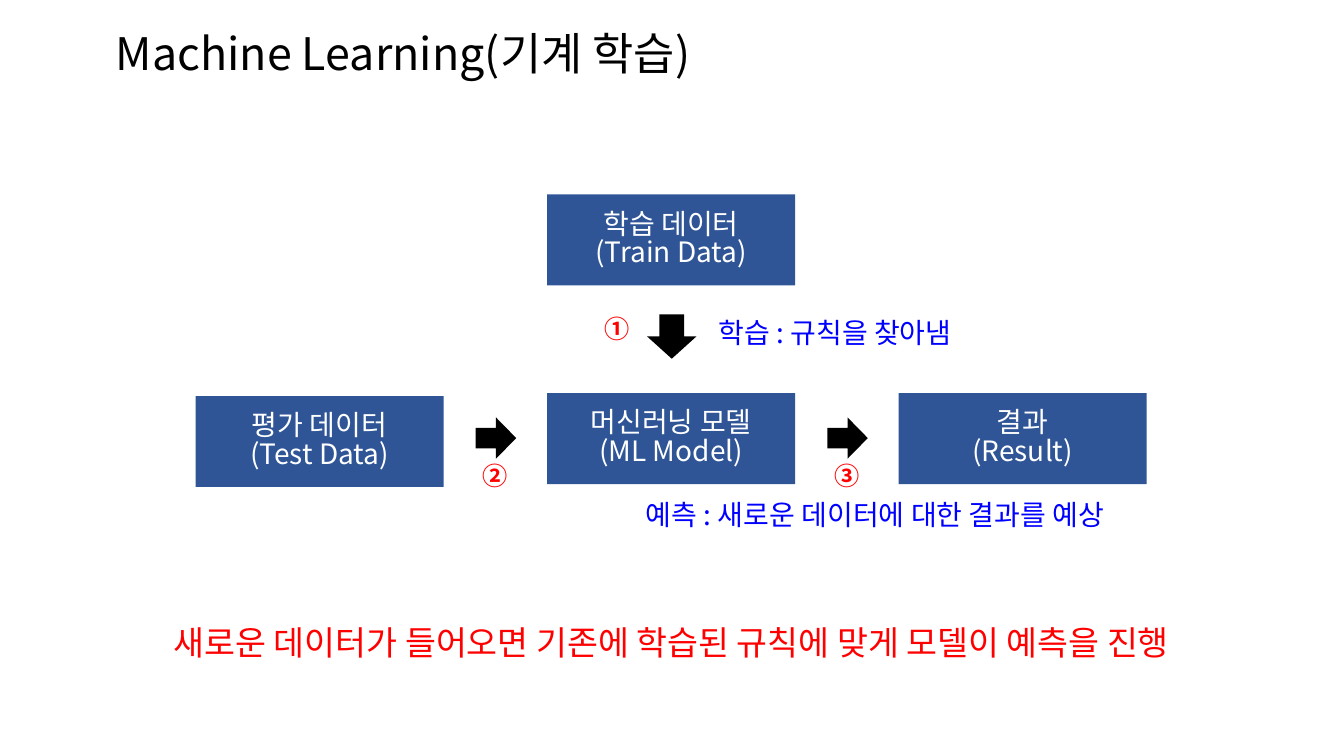
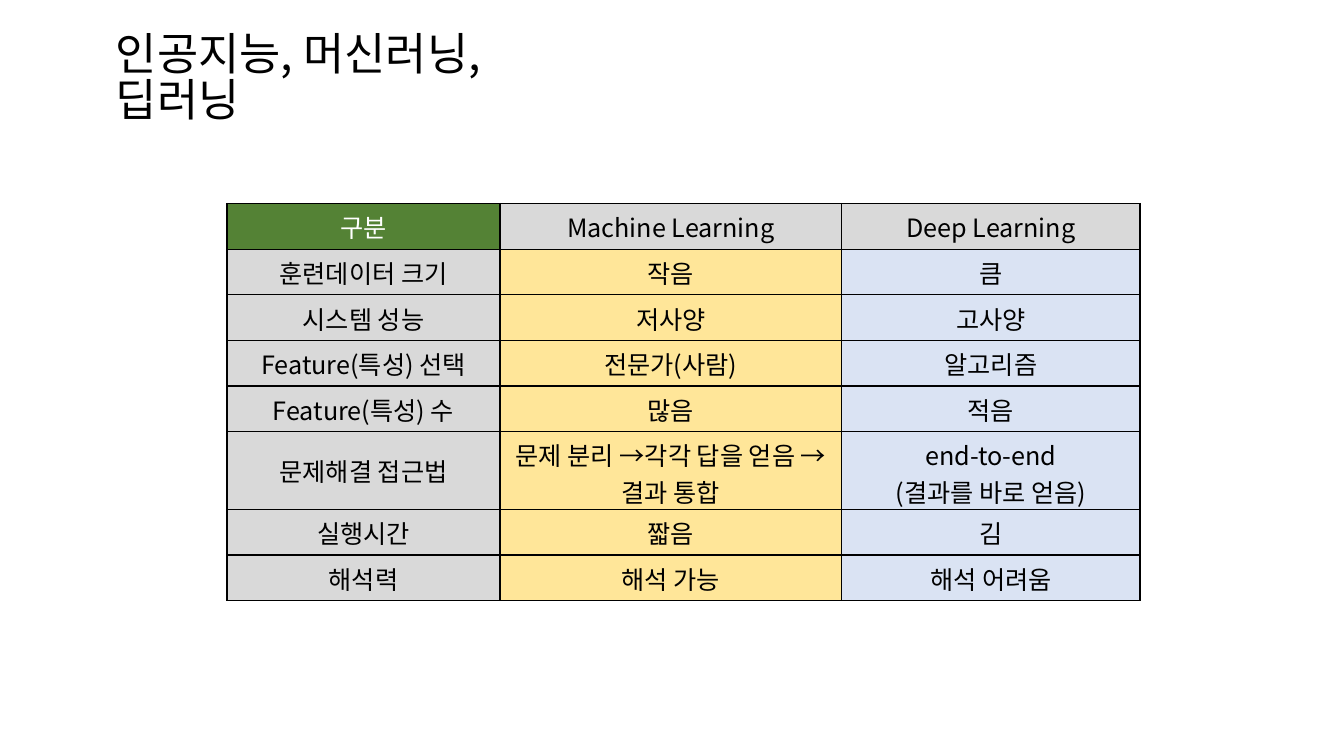
from lxml.etree import SubElement
from pptx import Presentation
from pptx.dml.color import RGBColor
from pptx.enum.shapes import MSO_SHAPE as Shape
from pptx.enum.text import MSO_ANCHOR as Anchor, PP_ALIGN as Align
from pptx.oxml.ns import qn
from pptx.util import Cm, Pt

FONT = "Noto Sans CJK KR"
BLACK = RGBColor(0x00, 0x00, 0x00)
WHITE = RGBColor(0xFF, 0xFF, 0xFF)
RED = RGBColor(0xFF, 0x00, 0x00)
BLUE = RGBColor(0x00, 0x00, 0xFF)
NAVY = RGBColor(0x2F, 0x55, 0x97)
GREEN = RGBColor(0x54, 0x82, 0x35)
GRAY = RGBColor(0xD9, 0xD9, 0xD9)
YELLOW = RGBColor(0xFF, 0xE6, 0x99)
PALE_BLUE = RGBColor(0xDA, 0xE3, 0xF3)

TITLE = {"size": Pt(32), "color": BLACK}
BOX = {"size": Pt(20), "color": WHITE}
NOTE = {"size": Pt(20), "color": BLUE}
STEP = {"size": Pt(18), "color": RED, "bold": True}
SUMMARY = {"size": Pt(24), "color": RED}
CELL = {"size": Pt(18), "color": BLACK}
HEAD = {"size": Pt(18), "color": WHITE}
TIGHT = 0.85

COLUMN_LEFT, COLUMN_STEP = 4.93, 8.86
BOX_WIDTH, BOX_HEIGHT = 6.25, 2.29
BOXES = [
    (1, 4.9, "학습 데이터\n(Train Data)"),
    (0, 9.98, "평가 데이터\n(Test Data)"),
    (1, 9.91, "머신러닝 모델\n(ML Model)"),
    (2, 9.91, "결과\n(Result)"),
]
ARROWS = [
    (Shape.DOWN_ARROW, (16.31, 7.92, 1.24, 1.12)),
    (Shape.RIGHT_ARROW, (11.99, 10.52, 1.02, 1.04)),
    (Shape.RIGHT_ARROW, (11.99 + COLUMN_STEP, 10.52, 1.02, 1.04)),
]
LABELS = [
    ("학습 : 규칙을 찾아냄", (17.86, 7.95, 7.75, 1.11), NOTE, Align.LEFT),
    ("예측 : 새로운 데이터에 대한 결과를 예상", (16.03, 12.55, 14.17, 1.11), NOTE, Align.LEFT),
    ("①", (14.94, 7.9, 1.24, 1.03), STEP, Align.CENTER),
    ("②", (11.87, 11.58, 1.24, 1.03), STEP, Align.CENTER),
    ("③", (11.87 + COLUMN_STEP, 11.58, 1.24, 1.03), STEP, Align.CENTER),
    ("새로운 데이터가 들어오면 기존에 학습된 규칙에 맞게 모델이 예측을 진행",
     (2.46, 15.7, 28.91, 1.28), SUMMARY, Align.CENTER),
]

COMPARISON = [
    ("구분", "Machine Learning", "Deep Learning"),
    ("훈련데이터 크기", "작음", "큼"),
    ("시스템 성능", "저사양", "고사양"),
    ("Feature(특성) 선택", "전문가(사람)", "알고리즘"),
    ("Feature(특성) 수", "많음", "적음"),
    ("문제해결 접근법", "문제 분리 →각각 답을 얻음 → 결과 통합", "end-to-end\n(결과를 바로 얻음)"),
    ("실행시간", "짧음", "김"),
    ("해석력", "해석 가능", "해석 어려움"),
]
COLUMN_WIDTHS = (6.88, 8.61, 7.52)
ROW_HEIGHT, TALL_ROW, TALL_HEIGHT = 1.15, 5, 1.96
HEAD_FILLS = (GREEN, GRAY, GRAY)
BODY_FILLS = (GRAY, YELLOW, PALE_BLUE)


def lengths(place):
    return [Cm(round(value, 2)) for value in place]


def write(frame, text, style, align, spacing=None):
    for index, line in enumerate(text.split("\n")):
        paragraph = frame.paragraphs[0] if index == 0 else frame.add_paragraph()
        paragraph.alignment = align
        paragraph.line_spacing = spacing
        run = paragraph.add_run()
        run.text = line
        for name, value in {"name": FONT, **style}.items():
            if name == "color":
                run.font.color.rgb = value
            else:
                setattr(run.font, name, value)
        SubElement(run._r.get_or_add_rPr(), qn("a:ea"), typeface=FONT)


def add_text(slide, text, place, style, align=Align.LEFT):
    frame = slide.shapes.add_textbox(*lengths(place)).text_frame
    frame.word_wrap = True
    write(frame, text, style, align, TIGHT)


def add_solid(slide, kind, place, color):
    shape = slide.shapes.add_shape(kind, *lengths(place))
    shape.shadow.inherit = False
    shape.fill.solid()
    shape.fill.fore_color.rgb = color
    shape.line.fill.background()
    return shape


def add_borders(cell):
    properties = cell._tc.get_or_add_tcPr()
    for index, side in enumerate(("lnL", "lnR", "lnT", "lnB")):
        line = properties.makeelement(qn(f"a:{side}"), {"w": str(Pt(1))})
        fill = SubElement(line, qn("a:solidFill"))
        SubElement(fill, qn("a:srgbClr"), val=str(BLACK))
        properties.insert(index, line)


def add_title_slide(presentation, title, width):
    slide = presentation.slides.add_slide(presentation.slide_layouts[6])
    add_text(slide, title, (2.67, 0.74, width, 1.62), TITLE)
    return slide


def build_process(presentation):
    slide = add_title_slide(presentation, "Machine Learning(기계 학습)", 15.72)
    for column, top, text in BOXES:
        left = COLUMN_LEFT + column * COLUMN_STEP
        box = add_solid(slide, Shape.RECTANGLE, (left, top, BOX_WIDTH, BOX_HEIGHT), NAVY)
        box.text_frame.vertical_anchor = Anchor.MIDDLE
        write(box.text_frame, text, BOX, Align.CENTER, TIGHT)
    for kind, place in ARROWS:
        add_solid(slide, kind, place, BLACK)
    for label in LABELS:
        add_text(slide, *label)


def build_comparison(presentation):
    slide = add_title_slide(presentation, "인공지능, 머신러닝, 딥러닝", 12.5)
    heights = [TALL_HEIGHT if row == TALL_ROW else ROW_HEIGHT for row in range(len(COMPARISON))]
    place = (5.72, 5.13, sum(COLUMN_WIDTHS), sum(heights))
    table = slide.shapes.add_table(len(heights), len(COLUMN_WIDTHS), *lengths(place)).table
    table.first_row = table.horz_banding = False
    for column, width in zip(table.columns, COLUMN_WIDTHS):
        column.width = Cm(width)
    for row, height in zip(table.rows, heights):
        row.height = Cm(height)
    for row, texts in enumerate(COMPARISON):
        fills = BODY_FILLS if row else HEAD_FILLS
        for column, (text, color) in enumerate(zip(texts, fills)):
            cell = table.cell(row, column)
            cell.fill.solid()
            cell.fill.fore_color.rgb = color
            if (row, column) == (TALL_ROW, 0):
                cell.vertical_anchor = Anchor.MIDDLE
            add_borders(cell)
            write(cell.text_frame, text, HEAD if color == GREEN else CELL, Align.CENTER)


def main():
    presentation = Presentation()
    presentation.slide_width, presentation.slide_height = Cm(33.87), Cm(19.05)
    build_process(presentation)
    build_comparison(presentation)
    presentation.save("out.pptx")


if __name__ == "__main__":
    main()
